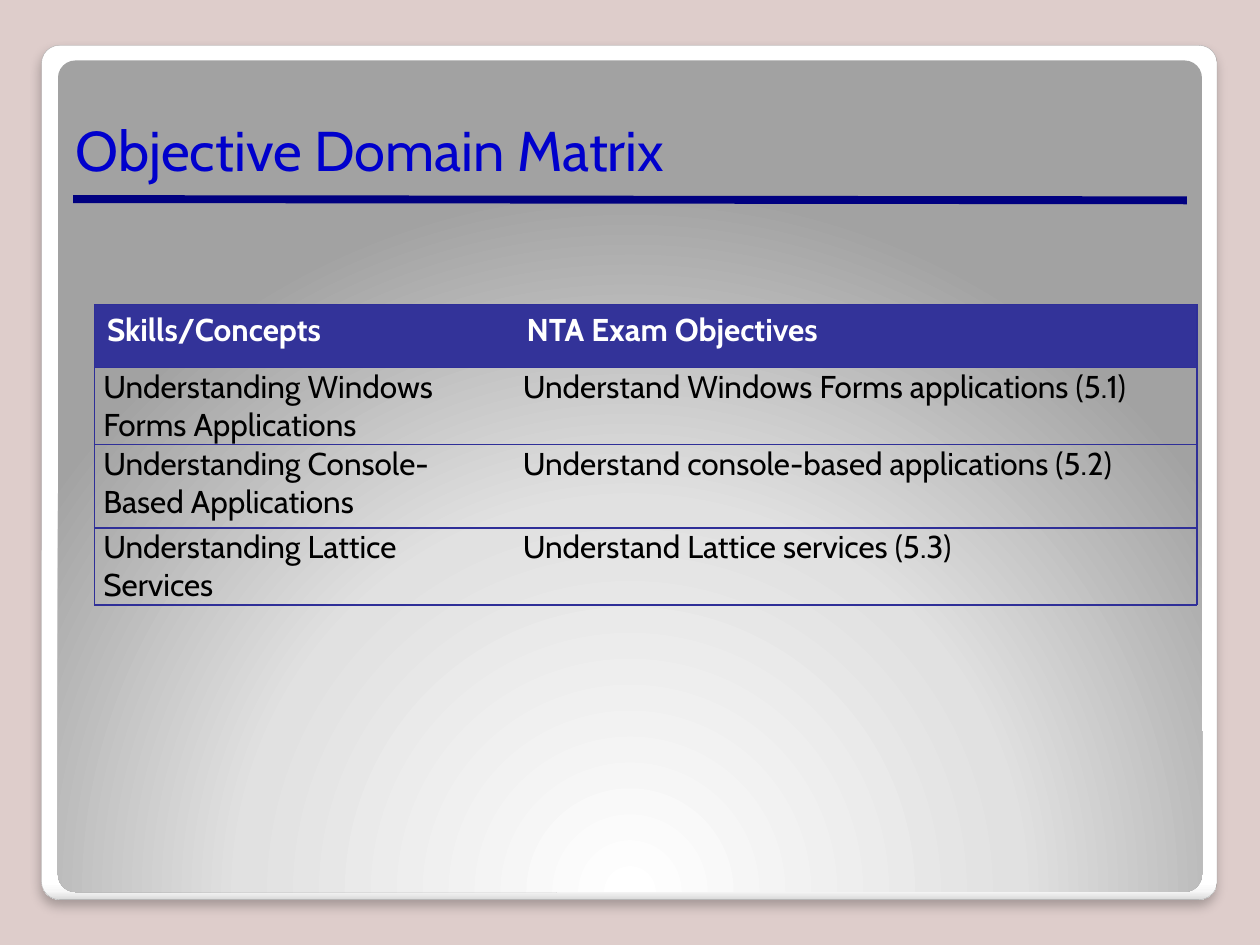
from dataclasses import dataclass

from lxml.etree import SubElement
from pptx import Presentation
from pptx.dml.color import RGBColor
from pptx.enum.shapes import MSO_CONNECTOR as Connector, MSO_SHAPE as Shape
from pptx.enum.text import MSO_ANCHOR as Anchor, MSO_AUTO_SIZE as AutoSize, PP_ALIGN as Align
from pptx.oxml import parse_xml
from pptx.oxml.ns import nsdecls, qn
from pptx.util import Inches, Pt

FONT = "Cabin"
BORDER = "2F2F98"
HEADER = "333399"


@dataclass
class Panel:
    left: float
    top: float
    width: float
    height: float
    stops: list[tuple[int, str]]
    direction: str


LINEAR = '<a:lin ang="5400000" scaled="0"/>'
RADIAL = ('<a:path path="circle"><a:fillToRect l="50000" t="175000" '
          'r="50000" b="-75000"/></a:path>')
FRAME = Panel(0.33, 0.36, 9.33, 6.78,
              [(0, "FFFFFF"), (98, "FFFFFF"), (99, "F7F7F7"), (100, "DADADA")], LINEAR)
INNER = Panel(0.46, 0.48, 9.08, 6.6,
              [(0, "FFFFFF"), (55, "E1E1E1"), (100, "A2A2A2")], RADIAL)

COLUMNS = [3.33, 5.42]
ROW_HEIGHTS = [0.5, 0.48, 0.66, 0.55]
ROWS = [
    ("Skills/Concepts", "NTA Exam Objectives"),
    ("Understanding Windows Forms Applications", "Understand Windows Forms applications (5.1)"),
    ("Understanding Console-Based Applications", "Understand console-based applications (5.2)"),
    ("Understanding Lattice Services", "Understand Lattice services (5.3)"),
]


def rgb(value: str) -> RGBColor:
    return RGBColor.from_string(value)


def write(tf, text: str, *, size: float, color: str, bold: bool = False) -> None:
    p = tf.paragraphs[0]
    p.alignment = Align.LEFT
    r = p.add_run()
    r.text = text
    r.font.name, r.font.size, r.font.bold = FONT, Pt(size), bold
    r.font.color.rgb = rgb(color)


def add_panel(slide, panel: Panel):
    sp = slide.shapes.add_shape(Shape.ROUNDED_RECTANGLE, Inches(panel.left), Inches(panel.top),
                                Inches(panel.width), Inches(panel.height))
    sp.adjustments[0] = 0.021
    sp.shadow.inherit = False
    sp.line.fill.background()
    sp.fill.background()
    stops = "".join(f'<a:gs pos="{pos * 1000}"><a:srgbClr val="{color}"/></a:gs>'
                    for pos, color in panel.stops)
    gradient = parse_xml(f'<a:gradFill {nsdecls("a")} rotWithShape="1">'
                         f'<a:gsLst>{stops}</a:gsLst>{panel.direction}</a:gradFill>')
    props = sp._element.spPr
    props.replace(props.find(qn("a:noFill")), gradient)
    return sp


def add_shadow(sp) -> None:
    effects = sp._element.spPr.find(qn("a:effectLst"))
    effects.append(parse_xml(
        f'<a:outerShdw {nsdecls("a")} blurRad="{Pt(6)}" dist="{Pt(4)}" dir="5400000" '
        'algn="tl" rotWithShape="0"><a:srgbClr val="000000"><a:alpha val="25000"/>'
        '</a:srgbClr></a:outerShdw>'))


def add_rule(slide, y1: float, y2: float) -> None:
    line = slide.shapes.add_connector(Connector.STRAIGHT, Inches(0.58), Inches(y1),
                                      Inches(9.42), Inches(y2))
    line.line.color.rgb = rgb("000080")
    line.line.width = Pt(4.5)
    SubElement(line._element.spPr, qn("a:effectLst"))


def set_borders(cell, visible: str) -> None:
    """Draw the sides named by letters among L, R, T and B, and hide the others."""
    props = cell._tc.get_or_add_tcPr()
    for i, side in enumerate("LRTB"):
        fill = (f'<a:solidFill><a:srgbClr val="{BORDER}"/></a:solidFill>'
                if side in visible else "<a:noFill/>")
        props.insert(i, parse_xml(f'<a:ln{side} {nsdecls("a")} w="{Pt(0.75)}">{fill}</a:ln{side}>'))


def add_matrix(slide) -> None:
    table = slide.shapes.add_table(len(ROWS), len(COLUMNS), Inches(0.75), Inches(2.42),
                                   Inches(sum(COLUMNS)), Inches(sum(ROW_HEIGHTS))).table
    table.horz_banding = table.first_row = False
    for column, width in zip(table.columns, COLUMNS):
        column.width = Inches(width)
    for i, (row, height, texts) in enumerate(zip(table.rows, ROW_HEIGHTS, ROWS)):
        row.height = Inches(height)
        is_header = i == 0
        for cell, text, side in zip(row.cells, texts, "LR"):
            if is_header:
                cell.fill.solid()
                cell.fill.fore_color.rgb = rgb(HEADER)
            else:
                cell.fill.background()
                cell.margin_left = cell.margin_right = Inches(0.07)
                cell.margin_top = cell.margin_bottom = 0
            write(cell.text_frame, text, size=18, bold=is_header,
                  color="FFFFFF" if is_header else "000000")
            set_borders(cell, side + "TB")


def main() -> None:
    prs = Presentation()
    prs.slide_width, prs.slide_height = Inches(10), Inches(7.5)
    slide = prs.slides.add_slide(prs.slide_layouts[5])
    slide.background.fill.solid()
    slide.background.fill.fore_color.rgb = rgb("DECDCB")

    frame = add_panel(slide, FRAME)
    frame.line.color.rgb = rgb("A4A4A4")
    frame.line.width = Pt(0.16)
    add_shadow(frame)
    add_panel(slide, INNER)
    add_rule(slide, 1.58, 1.59)

    title = slide.shapes.title
    slide.shapes._spTree.append(title._element)  # bring in front of the panels
    title.left, title.top, title.width, title.height = map(Inches, (0.5, 0.5, 9, 1))
    tf = title.text_frame
    tf.vertical_anchor = Anchor.BOTTOM
    tf.auto_size = AutoSize.NONE
    write(tf, "Objective Domain Matrix", size=32, color="0000CC")

    add_matrix(slide)
    prs.save("out.pptx")


if __name__ == "__main__":
    main()
